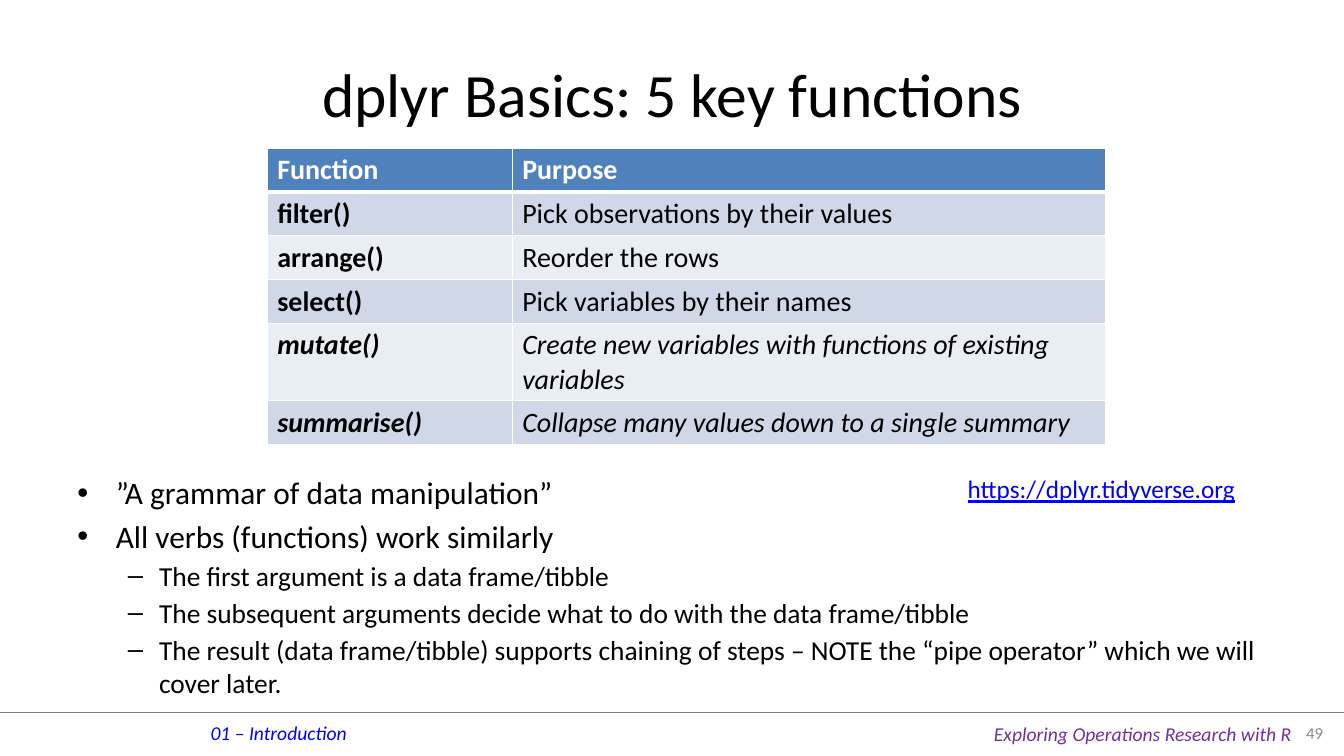
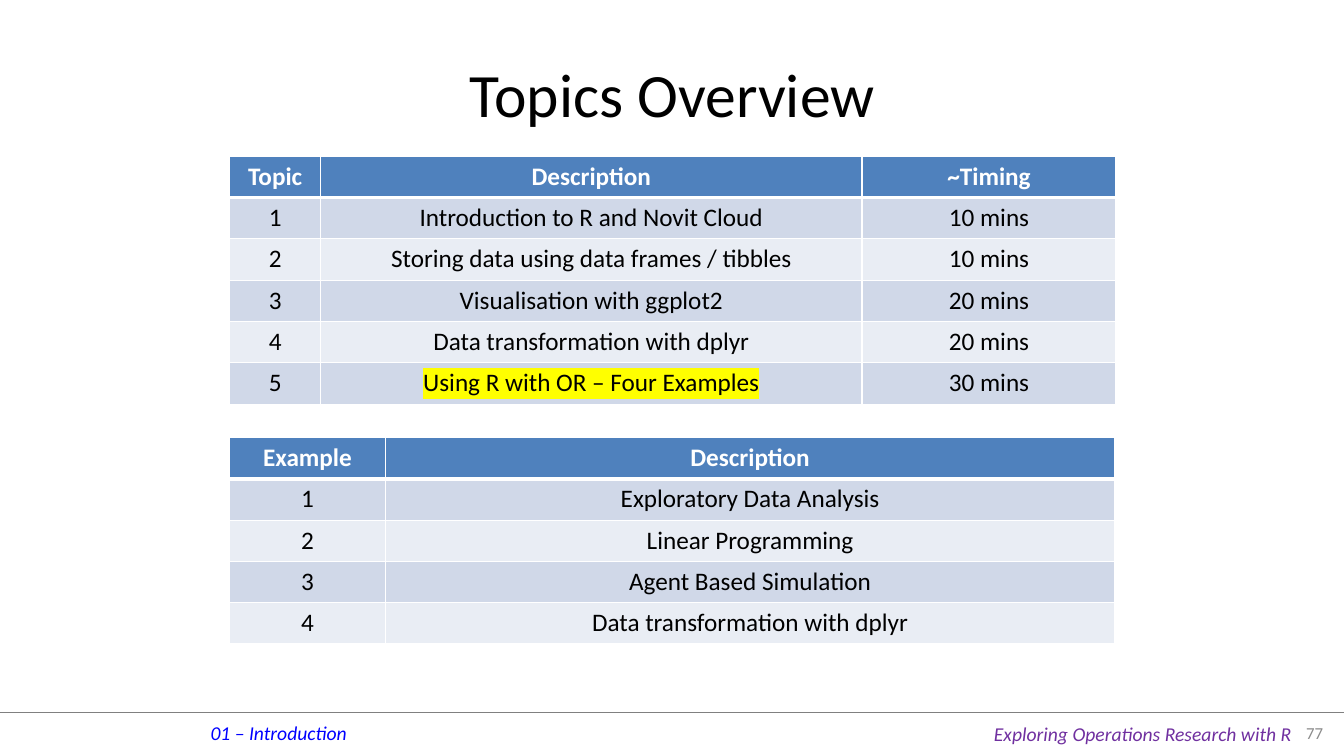
from dataclasses import dataclass

from lxml.etree import SubElement
from pptx import Presentation
from pptx.dml.color import RGBColor
from pptx.enum.shapes import MSO_CONNECTOR
from pptx.enum.text import MSO_ANCHOR, PP_ALIGN
from pptx.oxml.ns import qn
from pptx.util import Inches, Pt


@dataclass(frozen=True)
class Theme:
    font: str = "Calibri"
    text: str = "000000"
    link: str = "0000FF"
    course: str = "7030A0"
    number: str = "8C8C8C"
    rule: str = "808080"
    white: str = "FFFFFF"
    header: str = "4F81BD"
    bands: tuple = ("D0D8E8", "E9EDF4")
    highlight: str = "FFFF00"
    title_size: float = 44
    bullet_sizes: tuple = (22.4, 19.6)
    function_size: float = 20
    body_size: float = 18
    footer_size: float = 14
    number_size: float = 12


THEME = Theme()
SLIDE_WIDTH, SLIDE_HEIGHT = 13.33, 7.5
FOOTER_TOP = 7.07

# Per level: bullet, indent, hanging width, space before in points
BULLET_LEVELS = (("•", 0.38, 0.38, 4), ("–", 0.81, 0.31, 3))

FUNCTIONS = [
    ("Function", "Purpose"),
    ("filter()", "Pick observations by their values"),
    ("arrange()", "Reorder the rows"),
    ("select()", "Pick variables by their names"),
    ("mutate()", "Create new variables with functions of existing variables"),
    ("summarise()", "Collapse many values down to a single summary"),
]
GRAMMAR = [
    (0, "”A grammar of data manipulation”"),
    (0, "All verbs (functions) work similarly"),
    (1, "The first argument is a data frame/tibble"),
    (1, "The subsequent arguments decide what to do with the data frame/tibble"),
    (1, "The result (data frame/tibble) supports chaining of steps – NOTE the "
        "“pipe operator” which we will cover later."),
]
CURRENT_TOPIC = "Using R with OR – Four Examples"
TOPICS = [
    ("Topic", "Description", "~Timing"),
    ("1", "Introduction to R and Novit Cloud", "10 mins"),
    ("2", "Storing data using data frames / tibbles", "10 mins"),
    ("3", "Visualisation with ggplot2", "20 mins"),
    ("4", "Data transformation with dplyr", "20 mins"),
    ("5", CURRENT_TOPIC, "30 mins"),
]
EXAMPLES = [
    ("Example", "Description"),
    ("1", "Exploratory Data Analysis"),
    ("2", "Linear Programming"),
    ("3", "Agent Based Simulation"),
    ("4", "Data transformation with dplyr"),
]


def style(paragraph, size, color=THEME.text, bold=False, italic=False,
          underline=False, align=PP_ALIGN.LEFT):
    paragraph.alignment = align
    font = paragraph.font
    font.name, font.size = THEME.font, Pt(size)
    font.bold, font.italic, font.underline = bold, italic, underline
    font.color.rgb = RGBColor.from_string(color)


def add_frame(slide, left, top, width, height, anchor=MSO_ANCHOR.TOP):
    box = slide.shapes.add_textbox(Inches(left), Inches(top),
                                   Inches(width), Inches(height))
    frame = box.text_frame
    frame.word_wrap = True
    frame.vertical_anchor = anchor
    return frame


def add_line_of_text(slide, text, left, top, width, height, size,
                     anchor=MSO_ANCHOR.TOP, **look):
    paragraph = add_frame(slide, left, top, width, height, anchor).paragraphs[0]
    paragraph.text = text
    style(paragraph, size, **look)


def add_rule(slide, top):
    rule = slide.shapes.add_connector(MSO_CONNECTOR.STRAIGHT, 0, Inches(top),
                                      Inches(SLIDE_WIDTH), Inches(top))
    rule.line.color.rgb = RGBColor.from_string(THEME.rule)
    rule.line.width = Pt(0.25)
    SubElement(rule._element.spPr, qn("a:effectLst"))


def add_framed_slide(prs, title, number):
    """Add a slide with the shared title and footer."""
    slide = prs.slides.add_slide(prs.slide_layouts[6])
    add_rule(slide, FOOTER_TOP)
    add_line_of_text(slide, "01 – Introduction", 1.99, 7.1, 1.8, 0.34,
                     THEME.footer_size, color=THEME.link, italic=True)
    add_line_of_text(slide, "Exploring Operations Research with R",
                     9.76, 7.11, 3.3, 0.34,
                     THEME.footer_size, color=THEME.course, italic=True)
    add_line_of_text(slide, title, 0.67, 0.3, 12, 1.25, THEME.title_size,
                     anchor=MSO_ANCHOR.MIDDLE, align=PP_ALIGN.CENTER)
    add_line_of_text(slide, str(number), 12.67, FOOTER_TOP, 0.55, 0.39,
                     THEME.number_size, anchor=MSO_ANCHOR.MIDDLE,
                     color=THEME.number, align=PP_ALIGN.RIGHT)
    return slide


def add_bullets(slide, items, left, top, width, height):
    frame = add_frame(slide, left, top, width, height)
    for index, (level, text) in enumerate(items):
        paragraph = frame.add_paragraph() if index else frame.paragraphs[0]
        paragraph.text = text
        paragraph.level = level
        mark, indent, hanging, space = BULLET_LEVELS[level]
        if index:
            paragraph.space_before = Pt(space)
        properties = paragraph._p.get_or_add_pPr()
        properties.set("marL", str(Inches(indent)))
        properties.set("indent", str(-Inches(hanging)))
        SubElement(properties, qn("a:buFont"), typeface="Arial")
        SubElement(properties, qn("a:buChar"), char=mark)
        style(paragraph, THEME.bullet_sizes[level])


def set_borders(cell, top, bottom):
    """Draw white borders; top and bottom are widths in points."""
    properties = cell._tc.get_or_add_tcPr()
    for side, width in (("L", 1), ("R", 1), ("T", top), ("B", bottom)):
        line = SubElement(properties, qn(f"a:ln{side}"), w=str(Pt(width)))
        fill = SubElement(line, qn("a:solidFill"))
        SubElement(fill, qn("a:srgbClr"), val=THEME.white)


def highlight(run):
    mark = SubElement(run._r.get_or_add_rPr(), qn("a:highlight"))
    SubElement(mark, qn("a:srgbClr"), val=THEME.highlight)


def add_banded_table(slide, rows, left, top, widths, size,
                     align=PP_ALIGN.CENTER, bold_first=False,
                     italic_rows=(), highlighted=None):
    row_height = 0.41
    table = slide.shapes.add_table(
        len(rows), len(widths), Inches(left), Inches(top),
        Inches(sum(widths)), Inches(row_height * len(rows))).table
    table.horz_banding = False
    for column, width in zip(table.columns, widths):
        column.width = Inches(width)
    for r, texts in enumerate(rows):
        is_header = r == 0
        table.rows[r].height = Inches(row_height)
        for c, text in enumerate(texts):
            cell = table.cell(r, c)
            set_borders(cell, top=3 if r == 1 else 1, bottom=3 if is_header else 1)
            cell.fill.solid()
            cell.fill.fore_color.rgb = RGBColor.from_string(
                THEME.header if is_header else THEME.bands[(r - 1) % 2])
            paragraph = cell.text_frame.paragraphs[0]
            paragraph.text = text
            style(paragraph, size, align=align,
                  color=THEME.white if is_header else THEME.text,
                  bold=is_header or (bold_first and c == 0),
                  italic=r in italic_rows)
            if text == highlighted:
                highlight(paragraph.runs[0])


def add_dplyr_slide(prs):
    slide = add_framed_slide(prs, "dplyr Basics: 5 key functions", 49)
    add_bullets(slide, GRAMMAR, 0.67, 4.65, 12, 2.17)
    add_banded_table(slide, FUNCTIONS, 2.65, 1.47, (2.43, 5.89),
                     THEME.function_size, align=PP_ALIGN.LEFT,
                     bold_first=True, italic_rows=(4, 5))
    add_line_of_text(slide, "https://dplyr.tidyverse.org", 9.5, 4.65, 2.94, 0.4,
                     THEME.body_size, color=THEME.link, underline=True)


def add_topics_slide(prs):
    slide = add_framed_slide(prs, "Topics Overview", 77)
    add_banded_table(slide, TOPICS, 2.28, 1.55, (0.9, 5.37, 2.52),
                     THEME.body_size, highlighted=CURRENT_TOPIC)
    add_banded_table(slide, EXAMPLES, 2.28, 4.34, (1.54, 7.24), THEME.body_size)


def main():
    prs = Presentation()
    prs.slide_width, prs.slide_height = Inches(SLIDE_WIDTH), Inches(SLIDE_HEIGHT)
    add_dplyr_slide(prs)
    add_topics_slide(prs)
    prs.save("out.pptx")


if __name__ == "__main__":
    main()
